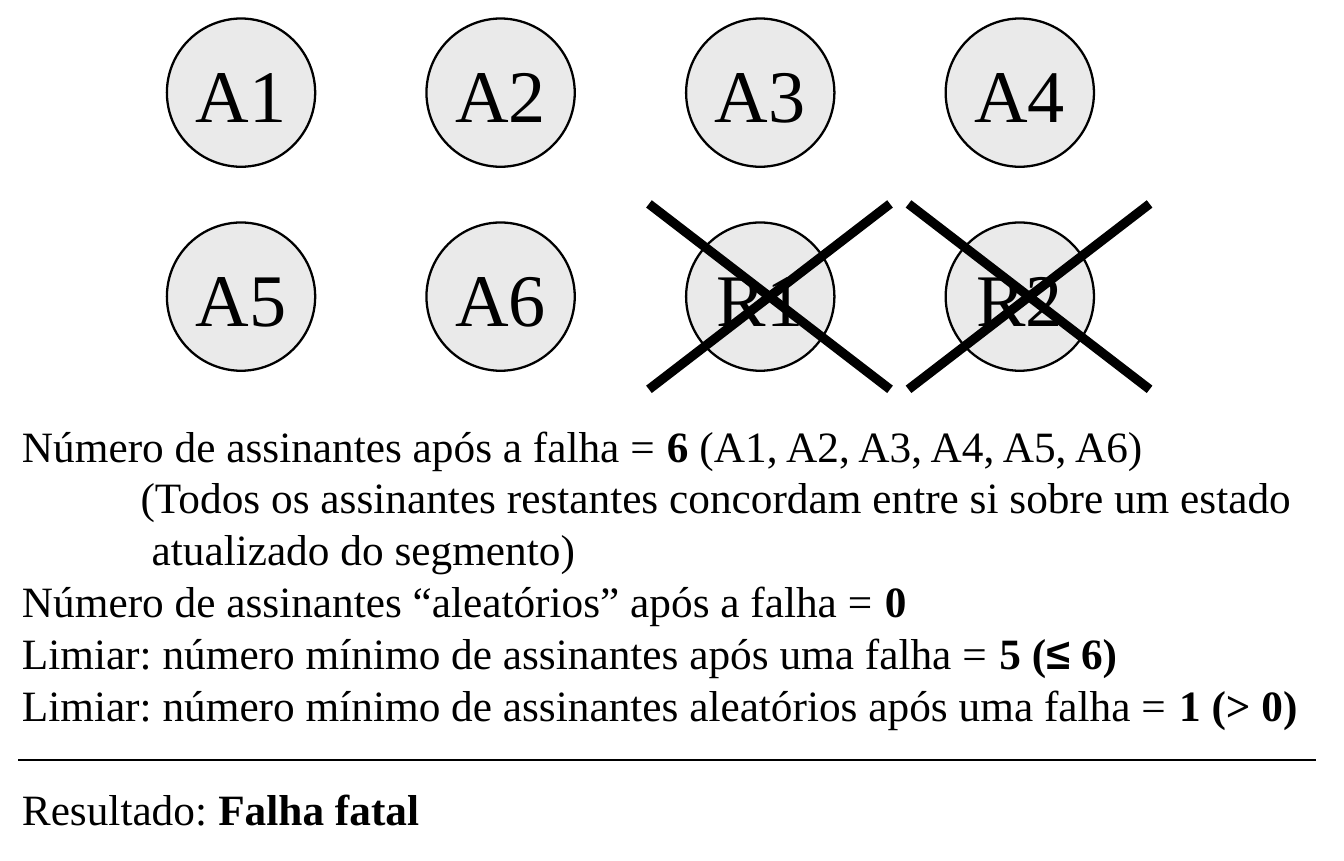
from dataclasses import dataclass

from lxml.etree import SubElement
from pptx import Presentation
from pptx.dml.color import RGBColor
from pptx.enum.shapes import MSO_CONNECTOR, MSO_SHAPE
from pptx.enum.text import MSO_ANCHOR, MSO_AUTO_SIZE, PP_ALIGN
from pptx.oxml.ns import qn
from pptx.util import Pt

EMU_PER_PX = 3048


@dataclass(frozen=True)
class Theme:
    ink: RGBColor = RGBColor(0, 0, 0)
    node_fill: RGBColor = RGBColor(0xEA, 0xEA, 0xEA)
    font: str = "Times New Roman"
    symbol_font: str = "Arial"
    node_size: int = 24
    body_size: int = 14
    leading: float = 1.2
    thin: float = 0.75
    thick: float = 3


@dataclass
class Line:
    spans: list
    indent: int = 0
    gap: float = 0


def px(value):
    return value * EMU_PER_PX


class Painter:
    def __init__(self, page, theme):
        self.page = page
        self.theme = theme

    def style(self, para, size):
        para.line_spacing = Pt(size * self.theme.leading)
        for span in para.runs:
            span.font.size = Pt(size)
            span.font.name = self.theme.symbol_font if span.text == "≤" else self.theme.font
            span.font.color.rgb = self.theme.ink

    def node(self, label, left, top, size):
        shape = self.page.shapes.add_shape(
            MSO_SHAPE.OVAL, px(left), px(top), px(size), px(size))
        shape.shadow.inherit = False
        shape.fill.solid()
        shape.fill.fore_color.rgb = self.theme.node_fill
        shape.line.color.rgb = self.theme.ink
        shape.line.width = Pt(self.theme.thin)
        frame = shape.text_frame
        frame.word_wrap = False
        frame.vertical_anchor = MSO_ANCHOR.MIDDLE
        frame.text = label
        para = frame.paragraphs[0]
        para.alignment = PP_ALIGN.CENTER
        self.style(para, self.theme.node_size)

    def rule(self, start, end, width):
        line = self.page.shapes.add_connector(
            MSO_CONNECTOR.STRAIGHT, *map(px, start + end))
        line.line.color.rgb = self.theme.ink
        line.line.width = Pt(width)
        SubElement(line._element.spPr, qn("a:effectLst"))

    def cross(self, left, top, width, height):
        right, bottom = left + width, top + height
        self.rule((left, top), (right, bottom), self.theme.thick)
        self.rule((right, top), (left, bottom), self.theme.thick)

    def text(self, lines, left, top, width, height):
        box = self.page.shapes.add_textbox(px(left), px(top), px(width), px(height))
        frame = box.text_frame
        frame.word_wrap = True
        frame.auto_size = MSO_AUTO_SIZE.SHAPE_TO_FIT_TEXT
        for index, line in enumerate(lines):
            para = frame.add_paragraph() if index else frame.paragraphs[0]
            if line.indent:
                properties = para._p.get_or_add_pPr()
                properties.set("marL", str(px(line.indent)))
                properties.set("indent", "0")
            if line.gap:
                para.space_before = Pt(line.gap)
            for content, bold in line.spans:
                span = para.add_run()
                span.text = content
                span.font.bold = bold
            self.style(para, self.theme.body_size)


def main():
    theme = Theme()
    deck = Presentation()
    deck.slide_width, deck.slide_height = px(1812), px(1161)
    painter = Painter(deck.slides.add_slide(deck.slide_layouts[6]), theme)

    subscribers = [["A1", "A2", "A3", "A4"], ["A5", "A6", "R1", "R2"]]
    failed = []
    for row, labels in enumerate(subscribers):
        for column, label in enumerate(labels):
            left, top = 225 + 350 * column, 25 + 275 * row
            painter.node(label, left, top, 200)
            if label.startswith("R"):
                failed.append((left, top))

    painter.text([
        Line([("Número de assinantes após a falha = ", False), ("6", True),
              (" (A1, A2, A3, A4, A5, A6)", False)]),
        Line([("(Todos os assinantes restantes concordam entre si sobre um estado", False)],
             indent=160),
        Line([("atualizado do segmento)", False)], indent=175),
        Line([("Número de assinantes “aleatórios” após a falha = ", False), ("0", True)]),
        Line([("Limiar: número mínimo de assinantes após uma falha = ", False),
              ("5 (", True), ("≤", True), (" 6)", True)]),
        Line([("Limiar: número mínimo de assinantes aleatórios após uma falha = ", False),
              ("1 (> 0)", True)]),
        Line([("Resultado: ", False), ("Falha fatal", True)],
             gap=theme.body_size * theme.leading),
    ], 0, 550, 1794, 591)

    painter.rule((25, 1025), (1775, 1025), theme.thin)
    for left, top in failed:
        painter.cross(left - 50, top - 25, 325, 250)

    deck.save("out.pptx")


if __name__ == "__main__":
    main()
